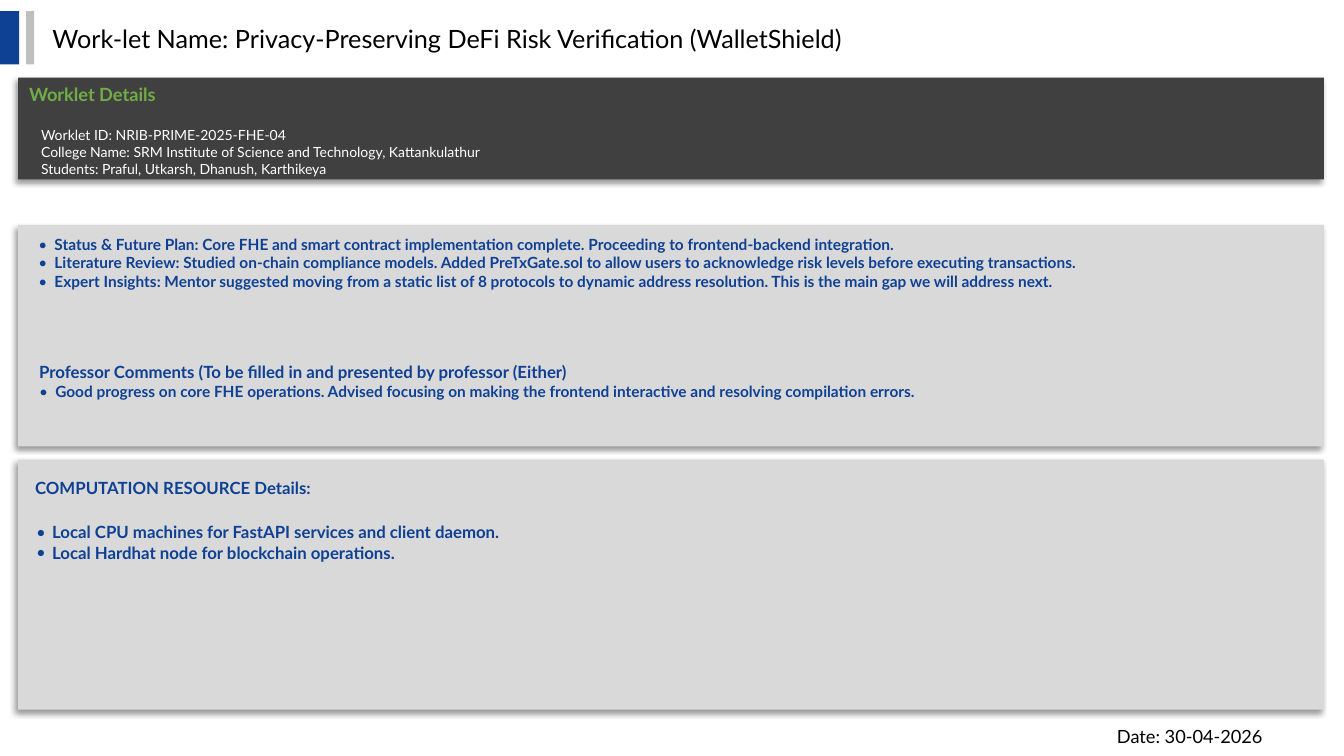
from lxml import etree
from pptx import Presentation
from pptx.dml.color import RGBColor
from pptx.enum import shapes, text
from pptx.oxml import parse_xml
from pptx.oxml.ns import nsdecls, qn
from pptx.util import Inches, Pt

BLUE = RGBColor(0x0E, 0x40, 0x94)
GREEN = RGBColor(0x70, 0xAD, 0x47)
BLACK = RGBColor(0x00, 0x00, 0x00)
WHITE = RGBColor(0xFF, 0xFF, 0xFF)
CHARCOAL = RGBColor(0x40, 0x40, 0x40)
SILVER = RGBColor(0xBF, 0xBF, 0xBF)
PALE_GRAY = RGBColor(0xD9, 0xD9, 0xD9)

FONT = "Lato"
PANEL_LEFT, PANEL_WIDTH = 0.18, 12.95
BULLET_GAP = 0.16


def add_shadow(shape):
    properties = shape._element.spPr
    for effects in properties.findall(qn("a:effectLst")):
        properties.remove(effects)
    properties.append(parse_xml(
        f'<a:effectLst {nsdecls("a")}>'
        f'<a:outerShdw blurRad="{Pt(4)}" dist="{Pt(3)}" dir="{135 * 60000}" '
        'algn="tr" rotWithShape="0"><a:srgbClr val="000000">'
        '<a:alpha val="40000"/></a:srgbClr></a:outerShdw></a:effectLst>'))


def paint(shape, color):
    shape.fill.solid()
    shape.fill.fore_color.rgb = color
    shape.line.fill.background()


def place(shape, box):
    for side, length in zip(("left", "top", "width", "height"), box):
        setattr(shape, side, Inches(length))


def add_rectangle(slide, box, color):
    rectangle = slide.shapes.add_shape(
        shapes.MSO_SHAPE.RECTANGLE, *map(Inches, box))
    rectangle.shadow.inherit = False
    paint(rectangle, color)
    return rectangle


def add_panel(slide, box, color):
    add_shadow(add_rectangle(slide, box, color))


def set_bullet(paragraph, margin):
    properties = paragraph._p.get_or_add_pPr()
    properties.set("marL", str(Inches(margin + BULLET_GAP)))
    properties.set("indent", str(-Inches(BULLET_GAP)))
    etree.SubElement(properties, qn("a:buFont")).set("typeface", FONT)
    etree.SubElement(properties, qn("a:buChar")).set("char", "•")


def write(shape, lines, size, color, bold=False, bullets=(), margin=0,
          top=0.05, anchor=text.MSO_ANCHOR.TOP, heading_size=None):
    """Fill a shape with lines; bullets holds the indexes of bulleted ones."""
    frame = shape.text_frame
    frame_format = {
        "word_wrap": True, "auto_size": text.MSO_AUTO_SIZE.NONE,
        "vertical_anchor": anchor, "margin_left": Inches(0.1),
        "margin_right": Inches(0.1), "margin_top": Inches(top),
        "margin_bottom": Inches(0.05),
    }
    for name, value in frame_format.items():
        setattr(frame, name, value)
    for index, line in enumerate(lines):
        paragraph = frame.paragraphs[0] if index == 0 else frame.add_paragraph()
        paragraph.alignment = text.PP_ALIGN.LEFT
        paragraph.space_before = Pt(0)
        if index in bullets:
            set_bullet(paragraph, margin)
        run = paragraph.add_run()
        run.text = line
        line_size = heading_size if heading_size and index == 0 else size
        font_format = {"name": FONT, "size": Pt(line_size), "bold": bold}
        for name, value in font_format.items():
            setattr(run.font, name, value)
        run.font.color.rgb = color


def add_text(slide, box, lines, size, color, **options):
    write(slide.shapes.add_textbox(*map(Inches, box)),
          lines, size, color, **options)


def add_header(slide, top, height):
    add_rectangle(slide, (0, top, 0.19, height), BLUE)
    add_rectangle(slide, (0.26, top, 0.08, height), SILVER)
    title = slide.shapes.title
    place(title, (0.42, top + 0.05, 10.96, 0.44))
    write(title,
          ["Work-let Name: Privacy-Preserving DeFi Risk Verification (WalletShield)"],
          18, BLACK, anchor=text.MSO_ANCHOR.MIDDLE)


def add_worklet_details(slide, box):
    left, top = box[:2]
    add_panel(slide, box, CHARCOAL)
    add_text(slide, (left + 0.01, top + 0.01, 2.4, 0.4),
             ["Worklet Details"], 13, GREEN, bold=True)
    add_text(slide, (left + 0.13, top + 0.44, 12.5, 0.55), [
        "Worklet ID: NRIB-PRIME-2025-FHE-04",
        "College Name: SRM Institute of Science and Technology, Kattankulathur",
        "Students: Praful, Utkarsh, Dhanush, Karthikeya",
    ], 10, WHITE)


def add_status(slide, box):
    left, top = box[:2]
    body = slide.placeholders[1]
    place(body, box)
    paint(body, PALE_GRAY)
    add_shadow(body)
    write(body, [
        "Status & Future Plan: Core FHE and smart contract implementation "
        "complete. Proceeding to frontend-backend integration.",
        "Literature Review: Studied on-chain compliance models. Added "
        "PreTxGate.sol to allow users to acknowledge risk levels before "
        "executing transactions.",
        "Expert Insights: Mentor suggested moving from a static list of 8 "
        "protocols to dynamic address resolution. This is the main gap we "
        "will address next.",
    ], 11, BLUE, bold=True, bullets=(0, 1, 2), margin=0.1, top=0.1)
    add_text(slide, (left + 0.11, top + 1.32, 12.7, 0.63), [
        "Professor Comments (To be filled in and presented by professor (Either)",
        "Good progress on core FHE operations. Advised focusing on making "
        "the frontend interactive and resolving compilation errors.",
    ], 11, BLUE, bold=True, bullets=(1,), top=0.04, heading_size=12)


def add_resources(slide, box):
    left, top = box[:2]
    add_panel(slide, box, PALE_GRAY)
    add_text(slide, (left + 0.07, top + 0.13, 3.53, 0.4),
             ["COMPUTATION RESOURCE Details:"], 12, BLUE, bold=True)
    add_text(slide, (left + 0.08, top + 0.58, 12.5, 0.62), [
        "Local CPU machines for FastAPI services and client daemon.",
        "Local Hardhat node for blockchain operations.",
    ], 12, BLUE, bold=True, bullets=(0, 1), top=0.04)


def main():
    presentation = Presentation()
    presentation.slide_width = Inches(13.33)
    presentation.slide_height = Inches(7.5)
    slide = presentation.slides.add_slide(presentation.slide_layouts[1])
    add_header(slide, 0.11, 0.53)
    add_worklet_details(slide, (PANEL_LEFT, 0.77, PANEL_WIDTH, 1.01))
    add_status(slide, (PANEL_LEFT, 2.23, PANEL_WIDTH, 2.2))
    add_resources(slide, (PANEL_LEFT, 4.56, PANEL_WIDTH, 2.48))
    add_text(slide, (10.98, 7.1, 2.35, 0.4), ["Date: 30-04-2026"], 13, BLACK,
             anchor=text.MSO_ANCHOR.MIDDLE)
    presentation.save("out.pptx")


if __name__ == "__main__":
    main()
